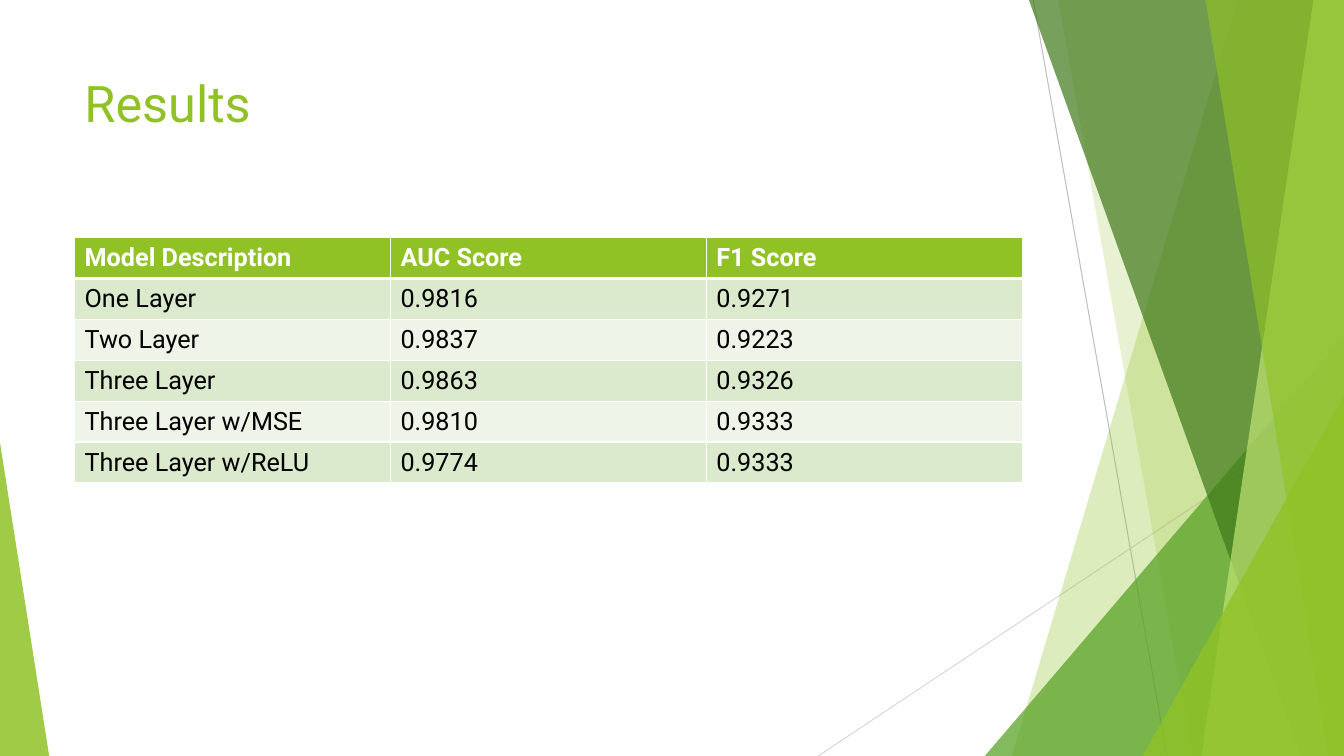
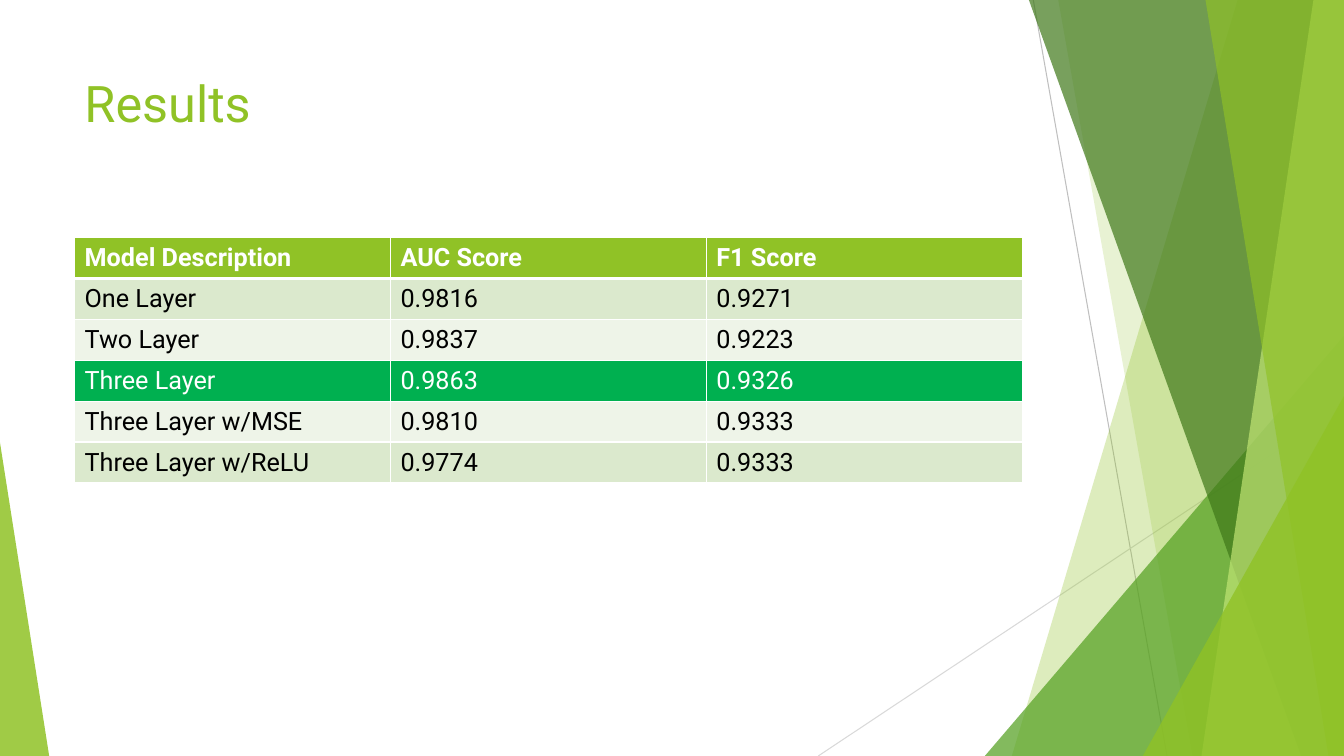
from lxml import etree
from pptx import Presentation
from pptx import util as u
from pptx.dml.color import RGBColor
from pptx.enum import shapes, text
from pptx.oxml.ns import qn

TITLE = "Results"
SCORES = [
    ("Model Description", "AUC Score", "F1 Score"),
    ("One Layer", "0.9816", "0.9271"),
    ("Two Layer", "0.9837", "0.9223"),
    ("Three Layer", "0.9863", "0.9326"),
    ("Three Layer w/MSE", "0.9810", "0.9333"),
    ("Three Layer w/ReLU", "0.9774", "0.9333"),
]
HIGHLIGHTED_ROWS = [None, 3]  # one entry per slide

FONT = "Roboto"
COLORS = {
    "lime": "90C226", "leaf": "54A021", "forest": "3F7819", "pale": "C0E474",
    "gray": "BFBFBF", "light_gray": "D9D9D9", "white": "FFFFFF", "black": "000000",
    "band_odd": "DBE9CD", "band_even": "EEF4E8", "highlight": "00B050",
}

# Lengths in centimetres
WIDTH, HEIGHT = 33.87, 19.05
LEFT, CONTENT_WIDTH = 1.88, 23.88
TITLE_TOP, TITLE_HEIGHT = 1.7, 3.66
TABLE_TOP, ROW_HEIGHT = 5.99, 1.03

# Hairlines: start, end, colour
HAIRLINES = [
    ((26.04, 0), (29.41, HEIGHT), "gray"),
    ((WIDTH, 10.24), (20.62, HEIGHT), "light_gray"),
]
# Shards run to the right edge: kind, then (top x, bottom x) of the slanted side
# or (left, top) of a corner triangle, colour, opacity in percent
SHARDS = [
    ("slant", (31.19, 25.5), "lime", 30),
    ("slant", (26.67, 30.05), "lime", 20),
    ("corner", (24.82, 8.46), "leaf", 72),
    ("slant", (25.93, 32.79), "forest", 70),
    ("slant", (33.1, 30.28), "pale", 70),
    ("slant", (30.38, 33.48), "lime", 65),
    ("corner", (28.8, 9.98), "lime", 80),
]
LEFT_WEDGE = (1.24, 11.15)  # width, top


def rgb(name):
    """Return the named palette colour."""
    return RGBColor.from_string(COLORS[name])


def paint(shape, color, opacity):
    """Give a shape a translucent fill without line or shadow."""
    shape.shadow.inherit = False
    shape.line.fill.background()
    shape.fill.solid()
    shape.fill.fore_color.rgb = rgb(color)
    color_element = shape.fill._xPr.find(qn("a:solidFill"))[0]
    etree.SubElement(color_element, qn("a:alpha")).set("val", str(opacity * 1000))


def add_hairline(slide, start, end, color):
    """Draw a thin straight line."""
    ends = [u.Cm(value) for value in (*start, *end)]
    line = slide.shapes.add_connector(shapes.MSO_CONNECTOR.STRAIGHT, *ends)
    line.line.color.rgb = rgb(color)
    line.line.width = u.Pt(0.75)
    etree.SubElement(line._element.spPr, qn("a:effectLst"))


def add_slant(slide, top_x, bottom_x):
    """Draw a full-height shard between a slanted side and the right edge."""
    corners = [(top_x, 0), (WIDTH, 0), (WIDTH, HEIGHT), (bottom_x, HEIGHT)]
    points = [(u.Cm(x), u.Cm(y)) for x, y in corners]
    builder = slide.shapes.build_freeform(*points[0])
    builder.add_line_segments(points[1:], close=True)
    return builder.convert_to_shape()


def add_triangle(slide, left, top, right, apex):
    """Draw a triangle on the bottom edge; apex is 0 for left, 1 for right."""
    triangle = slide.shapes.add_shape(
        shapes.MSO_SHAPE.ISOSCELES_TRIANGLE,
        u.Cm(left), u.Cm(top), u.Cm(right - left), u.Cm(HEIGHT - top))
    triangle.adjustments[0] = apex
    return triangle


def add_backdrop(slide):
    """Draw the green shards and hairlines shared by all slides."""
    for hairline in HAIRLINES:
        add_hairline(slide, *hairline)
    for kind, (first, second), color, opacity in SHARDS:
        if kind == "slant":
            shard = add_slant(slide, first, second)
        else:
            shard = add_triangle(slide, first, second, WIDTH, 1)
        paint(shard, color, opacity)
    wedge_width, wedge_top = LEFT_WEDGE
    paint(add_triangle(slide, 0, wedge_top, wedge_width, 0), "lime", 85)


def add_run(paragraph, words, size, color, bold=False):
    """Append one formatted run."""
    run = paragraph.add_run()
    run.text = words
    run.font.name = FONT
    run.font.size = u.Pt(size)
    run.font.bold = bold
    run.font.color.rgb = rgb(color)


def add_title(slide):
    """Write the slide title."""
    box = slide.shapes.add_textbox(
        u.Cm(LEFT), u.Cm(TITLE_TOP), u.Cm(CONTENT_WIDTH), u.Cm(TITLE_HEIGHT))
    box.text_frame.word_wrap = True
    box.text_frame.vertical_anchor = text.MSO_ANCHOR.TOP
    add_run(box.text_frame.paragraphs[0], TITLE, 36, "lime")


def set_borders(cell, row):
    """Draw white cell borders, thick between header and body."""
    widths = {"L": 1, "R": 1, "T": 3 if row == 1 else 1, "B": 3 if row == 0 else 1}
    properties = cell._tc.get_or_add_tcPr()
    for position, (side, width) in enumerate(widths.items()):
        border = etree.Element(qn(f"a:ln{side}"), w=str(u.Pt(width)))
        fill = etree.SubElement(border, qn("a:solidFill"))
        etree.SubElement(fill, qn("a:srgbClr"), val=COLORS["white"])
        properties.insert(position, border)


def row_colors(row, highlighted):
    """Return the fill and text colours of a table row."""
    if row == 0:
        return "lime", "white"
    if row == highlighted:
        return "highlight", "white"
    return ("band_odd" if row % 2 else "band_even"), "black"


def add_scores(slide, highlighted):
    """Add the score table, with one row highlighted if given."""
    rows, columns = len(SCORES), len(SCORES[0])
    table = slide.shapes.add_table(
        rows, columns, u.Cm(LEFT), u.Cm(TABLE_TOP),
        u.Cm(CONTENT_WIDTH), u.Cm(ROW_HEIGHT * rows)).table
    for row, values in enumerate(SCORES):
        fill_color, text_color = row_colors(row, highlighted)
        for column, value in enumerate(values):
            cell = table.cell(row, column)
            cell.vertical_anchor = text.MSO_ANCHOR.MIDDLE
            cell.fill.solid()
            cell.fill.fore_color.rgb = rgb(fill_color)
            set_borders(cell, row)
            add_run(cell.text_frame.paragraphs[0], value, 18, text_color, row == 0)


def main():
    """Build and save the presentation."""
    presentation = Presentation()
    presentation.slide_width = u.Cm(WIDTH)
    presentation.slide_height = u.Cm(HEIGHT)
    for highlighted in HIGHLIGHTED_ROWS:
        slide = presentation.slides.add_slide(presentation.slide_layouts[6])
        add_backdrop(slide)
        add_title(slide)
        add_scores(slide, highlighted)
    presentation.save("out.pptx")


main()
